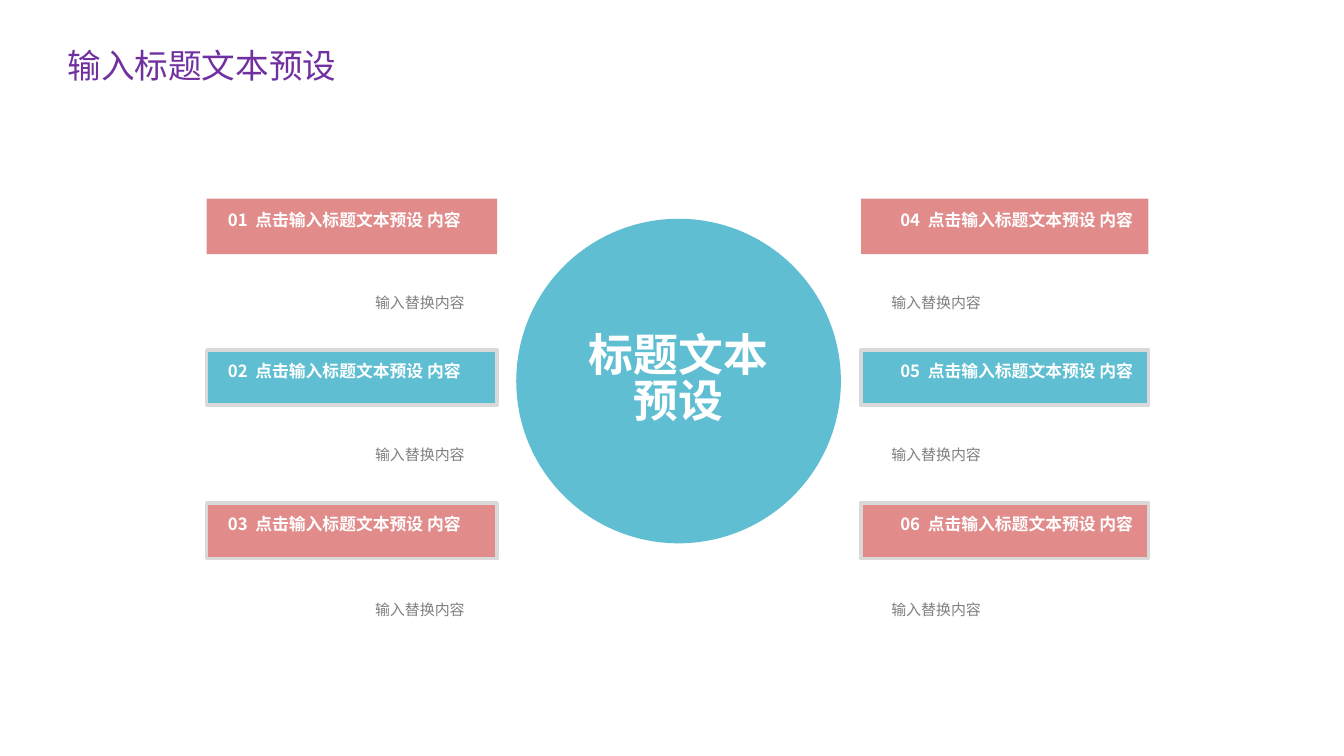
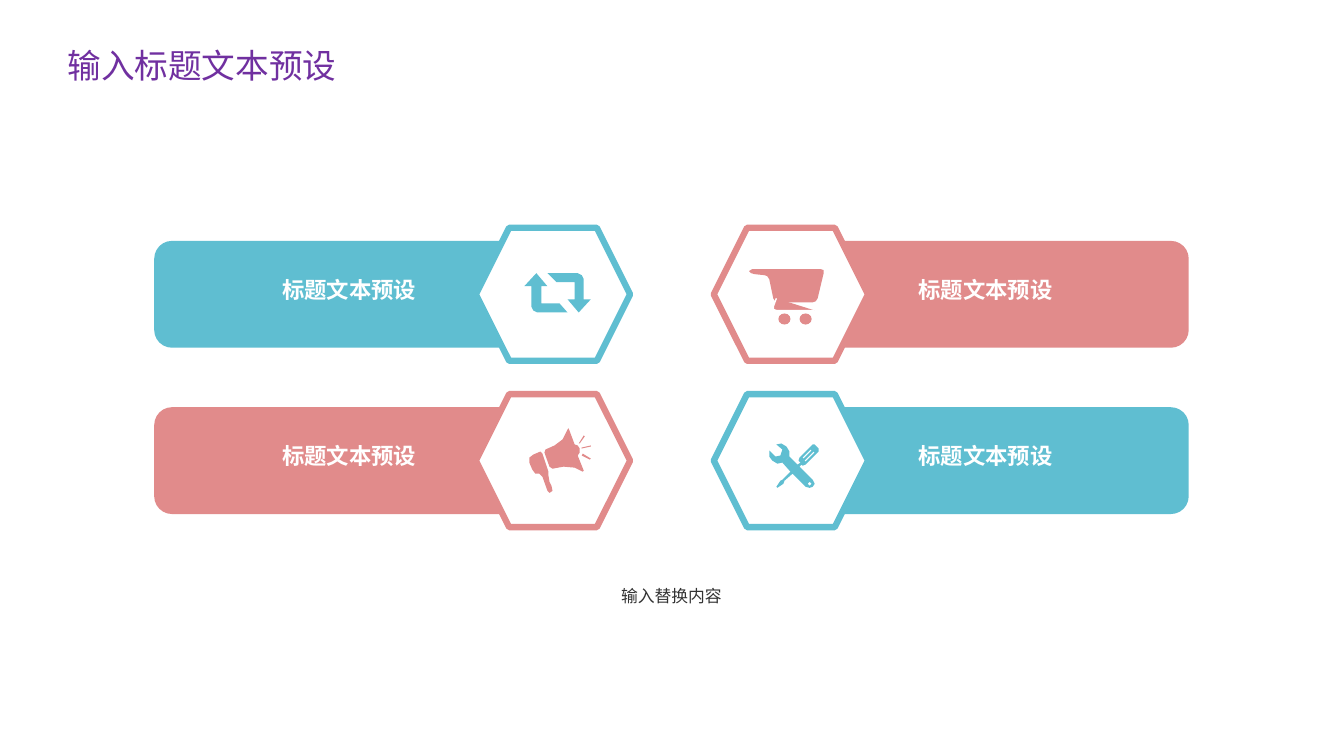
from pptx import Presentation
from pptx.dml.color import RGBColor
from pptx.enum.shapes import MSO_SHAPE as SHAPE
from pptx.enum.text import MSO_ANCHOR as ANCHOR, MSO_AUTO_SIZE as FIT, PP_ALIGN as ALIGN
from pptx.oxml.ns import qn
from pptx.util import Inches, Pt
from lxml.etree import SubElement

PURPLE = RGBColor(0x70, 0x30, 0xA0)
ROSE = RGBColor(0xE1, 0x8B, 0x8B)
TEAL = RGBColor(0x5F, 0xBE, 0xD1)
WHITE = RGBColor(0xFF, 0xFF, 0xFF)
EDGE = RGBColor(0xD9, 0xD9, 0xD9)
GRAY = RGBColor(0x80, 0x80, 0x80)
DARK = RGBColor(0x33, 0x33, 0x33)
FONT = "Noto Sans CJK SC"
SERIF = "Times New Roman"
TIGHT = 0.85

TITLE = "输入标题文本预设"
CAPTION = "输入替换内容"
LABEL = "标题文本预设"
ITEM = "点击输入标题文本预设 内容"

ROWS = [(1.97, 2.9, ROSE, None), (3.47, 4.41, TEAL, EDGE), (4.99, 5.95, ROSE, EDGE)]
SIDES = [
    dict(bar=(2.05, 2.88), head=1.45, note=(1.78, 2.83), align=ALIGN.RIGHT),
    dict(bar=(8.54, 2.85), head=8.93, note=(8.84, 2.68), align=ALIGN.LEFT),
]

COLUMNS = [
    dict(bar=1.53, hexagon=4.72, label=1.82, align=ALIGN.RIGHT, colors=(TEAL, ROSE)),
    dict(bar=7.59, hexagon=7.08, label=9.11, align=ALIGN.LEFT, colors=(ROSE, TEAL)),
]
BAR_TOP, BAR_PITCH = 2.39, 1.65

CART_BASKET = [[
    (8.06, 3), (8.09, 2.99), (8.11, 2.96), (8.17, 2.71), (8.17, 2.68), (8.14, 2.67),
    (7.46, 2.67), (7.43, 2.69), (7.45, 2.71), (7.48, 2.72), (7.58, 2.73), (7.61, 2.74),
    (7.63, 2.77), (7.67, 2.96), (7.69, 2.99), (7.73, 3)]]
CART_FRAME = [[(7.7, 2.96), (7.67, 3.04), (7.67, 3.07), (7.7, 3.08), (8.08, 3.08)]]
CART_WHEELS = [7.72, 7.93]
LOOP_ARROWS = [
    [(5.79, 2.97), (5.79, 2.77), (5.77, 2.73), (5.73, 2.71), (5.43, 2.71), (5.52, 2.8),
     (5.7, 2.8), (5.7, 2.97), (5.63, 2.97), (5.74, 3.1), (5.86, 2.97)],
    [(5.37, 3.01), (5.37, 2.84), (5.43, 2.84), (5.32, 2.71), (5.2, 2.84), (5.27, 2.84),
     (5.27, 3.04), (5.29, 3.08), (5.33, 3.1), (5.63, 3.1), (5.55, 3.01)]]
MEGAPHONE = [
    [(5.44, 4.72), (5.44, 4.68), (5.38, 4.5), (5.36, 4.48), (5.29, 4.51), (5.25, 4.54),
     (5.25, 4.59), (5.28, 4.66), (5.31, 4.7), (5.35, 4.7), (5.38, 4.73), (5.43, 4.87),
     (5.45, 4.89), (5.48, 4.87), (5.47, 4.82), (5.45, 4.78)],
    [(5.73, 4.52), (5.75, 4.49), (5.75, 4.45), (5.73, 4.42), (5.7, 4.41), (5.64, 4.25),
     (5.63, 4.26), (5.58, 4.36), (5.5, 4.42), (5.41, 4.46), (5.4, 4.49), (5.45, 4.63),
     (5.48, 4.65), (5.59, 4.63), (5.7, 4.64), (5.78, 4.68), (5.79, 4.67)],
    [(5.8, 4.33), (5.79, 4.32), (5.74, 4.4), (5.75, 4.4)],
    [(5.77, 4.52), (5.85, 4.56), (5.86, 4.55), (5.78, 4.5)],
    [(5.77, 4.45), (5.86, 4.43), (5.86, 4.42), (5.77, 4.44)]]
TOOLS = [
    [(8.12, 4.45), (8.08, 4.41), (8.06, 4.41), (8.04, 4.43), (7.93, 4.54), (7.92, 4.57),
     (7.94, 4.59), (7.91, 4.61), (7.83, 4.53), (7.83, 4.48), (7.8, 4.43), (7.75, 4.4),
     (7.7, 4.41), (7.76, 4.46), (7.74, 4.52), (7.69, 4.53), (7.63, 4.47), (7.63, 4.53),
     (7.66, 4.57), (7.71, 4.6), (7.76, 4.59), (7.84, 4.68), (7.76, 4.76), (7.74, 4.77),
     (7.7, 4.83), (7.71, 4.84), (7.77, 4.8), (7.78, 4.77), (7.86, 4.7), (7.99, 4.83),
     (8.03, 4.84), (8.06, 4.83), (8.08, 4.8), (8.06, 4.76), (7.93, 4.63), (7.95, 4.61),
     (7.96, 4.62), (7.99, 4.61), (8.11, 4.49), (8.12, 4.48)],
    [(8.03, 4.78), (8.05, 4.8), (8.03, 4.82), (8.01, 4.8)],
    [(7.97, 4.55), (7.96, 4.54), (8.04, 4.46), (8.05, 4.47)],
    [(7.99, 4.58), (7.98, 4.57), (8.07, 4.48), (8.08, 4.49)]]


def paint(sp, fill, line=None, width=1):
    sp.shadow.inherit = False
    sp.fill.solid()
    sp.fill.fore_color.rgb = fill
    if line is None:
        sp.line.fill.background()
    else:
        sp.line.color.rgb = line
        sp.line.width = Pt(width)
    return sp


def add_shape(s, kind, box, fill, line=None, width=1):
    return paint(s.shapes.add_shape(kind, *map(Inches, box)), fill, line, width)


def add_icon(s, paths, fill, line=None, close=True):
    scaled = [[(Inches(x), Inches(y)) for x, y in path] for path in paths]
    builder = s.shapes.build_freeform(*scaled[0][0], scale=1.0)
    for i, path in enumerate(scaled):
        if i:
            builder.move_to(*path[0])
        builder.add_line_segments(path[1:], close=close)
    return paint(builder.convert_to_shape(), fill, line)


def add_run(p, text, size, color, bold=False, font=FONT):
    r = p.add_run()
    r.text = text
    r.font.size, r.font.bold, r.font.name = Pt(size), bold, font
    r.font.color.rgb = color
    SubElement(r.font._element, qn("a:ea")).set("typeface", FONT)
    return r


def add_text(s, box, align, inset=(0, 0.05), anchor=ANCHOR.TOP, spacing=None):
    tf = s.shapes.add_textbox(*map(Inches, box)).text_frame
    tf.word_wrap = True
    tf.vertical_anchor = anchor
    tf.margin_left = tf.margin_right = Inches(inset[0])
    tf.margin_top = tf.margin_bottom = Inches(inset[1])
    p = tf.paragraphs[0]
    p.alignment = align
    if spacing:
        p.line_spacing = spacing
    return p


def add_slide(prs):
    s = prs.slides.add_slide(prs.slide_layouts[5])
    title = s.shapes.title
    title.left, title.top, title.width, title.height = map(Inches, (0.57, 0.4, 3.36, 0.5))
    tf = title.text_frame
    tf.auto_size, tf.vertical_anchor = FIT.NONE, ANCHOR.MIDDLE
    p = tf.paragraphs[0]
    p.alignment = ALIGN.LEFT
    add_run(p, TITLE, 24, PURPLE)
    return s


def build_hub(prs):
    s = add_slide(prs)
    hub = add_shape(s, SHAPE.OVAL, (5.12, 2.17, 3.22, 3.22), TEAL)
    p = hub.text_frame.paragraphs[0]
    p.alignment, p.line_spacing = ALIGN.CENTER, TIGHT
    add_run(p, LABEL, 32, WHITE, bold=True)
    number = 0
    for side in SIDES:
        left, width = side["bar"]
        note_left, note_width = side["note"]
        for top, note_top, fill, edge in ROWS:
            number += 1
            bar = add_shape(s, SHAPE.ROUNDED_RECTANGLE, (left, top, width, 0.55), fill, edge, 2.5)
            bar.adjustments[0] = 0
            p = add_text(s, (side["head"], top + 0.09, 3.12, 0.46), side["align"], spacing=TIGHT)
            add_run(p, f"{number:02d}", 12, WHITE, bold=True)
            gap = add_run(p, " ", 12, WHITE, bold=True)
            gap.font._element.set("spc", "270")
            add_run(p, ITEM, 12, WHITE, bold=True)
            p = add_text(s, (note_left, note_top, note_width, 0.2), side["align"],
                         anchor=ANCHOR.MIDDLE)
            add_run(p, CAPTION, 10.7, GRAY)


def build_hexagons(prs):
    s = add_slide(prs)
    for column in COLUMNS:
        for i, color in enumerate(column["colors"]):
            top = BAR_TOP + i * BAR_PITCH
            add_shape(s, SHAPE.ROUNDED_RECTANGLE, (column["bar"], top, 4.2, 1.06), color)
            add_shape(s, SHAPE.HEXAGON, (column["hexagon"], top - 0.13, 1.53, 1.32),
                      WHITE, color, 4.5)
            p = add_text(s, (column["label"], top + 0.39, 2.31, 0.27), column["align"],
                         inset=(0, 0), spacing=TIGHT)
            add_run(p, LABEL, 16, WHITE, bold=True, font=SERIF)
    add_icon(s, LOOP_ARROWS, TEAL)
    add_icon(s, MEGAPHONE, ROSE)
    add_icon(s, TOOLS, TEAL)
    add_icon(s, CART_BASKET, ROSE)
    for left in CART_WHEELS:
        add_shape(s, SHAPE.OVAL, (left, 3.11, 0.12, 0.11), ROSE)
    add_icon(s, CART_FRAME, ROSE, WHITE, close=False)
    p = add_text(s, (1.41, 5.71, 10.5, 0.37), ALIGN.CENTER, inset=(0.1, 0.05), spacing=1.25)
    add_run(p, CAPTION, 12, DARK)


def main():
    prs = Presentation()
    prs.slide_width, prs.slide_height = Inches(13.33), Inches(7.5)
    build_hub(prs)
    build_hexagons(prs)
    prs.save("out.pptx")


if __name__ == "__main__":
    main()
